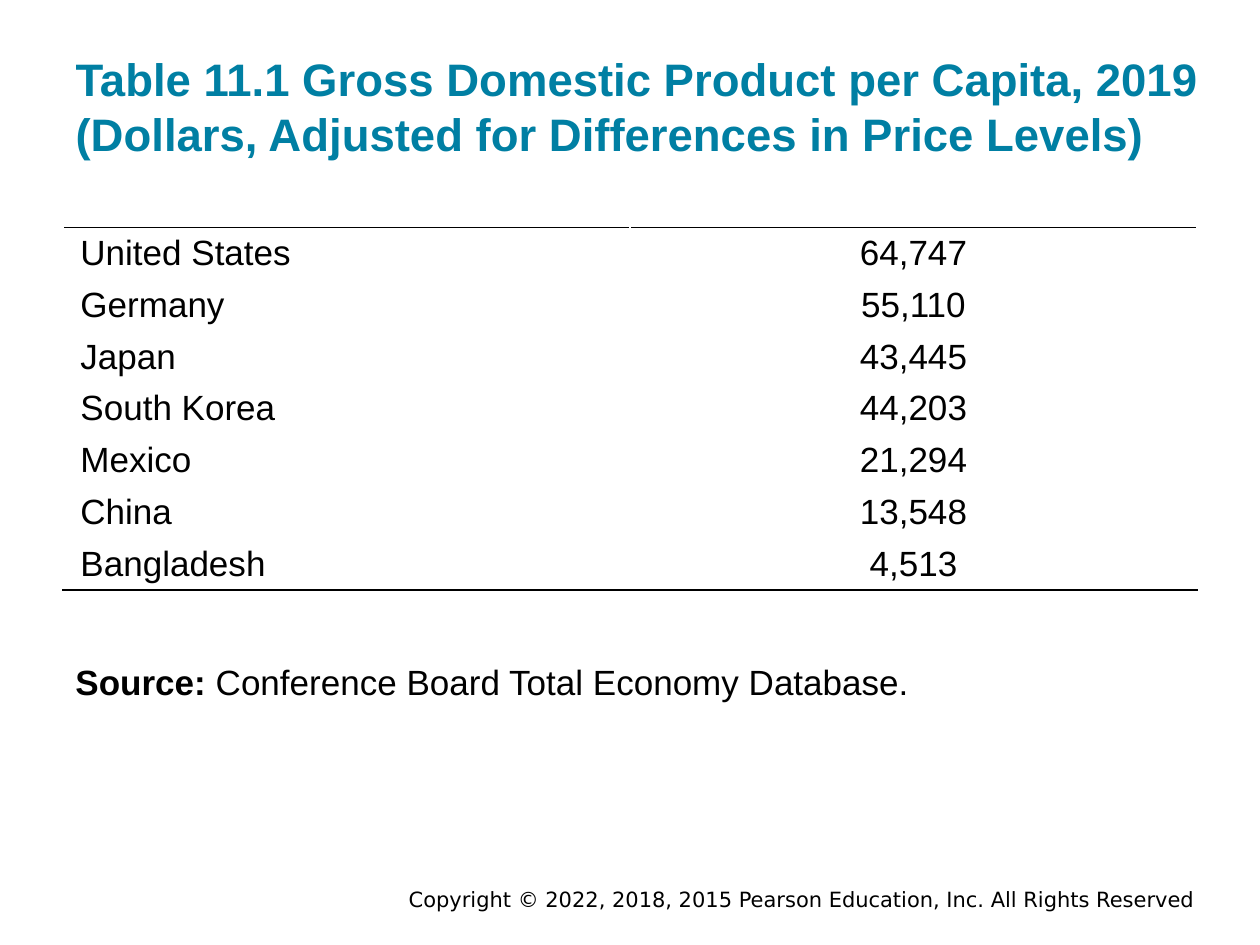
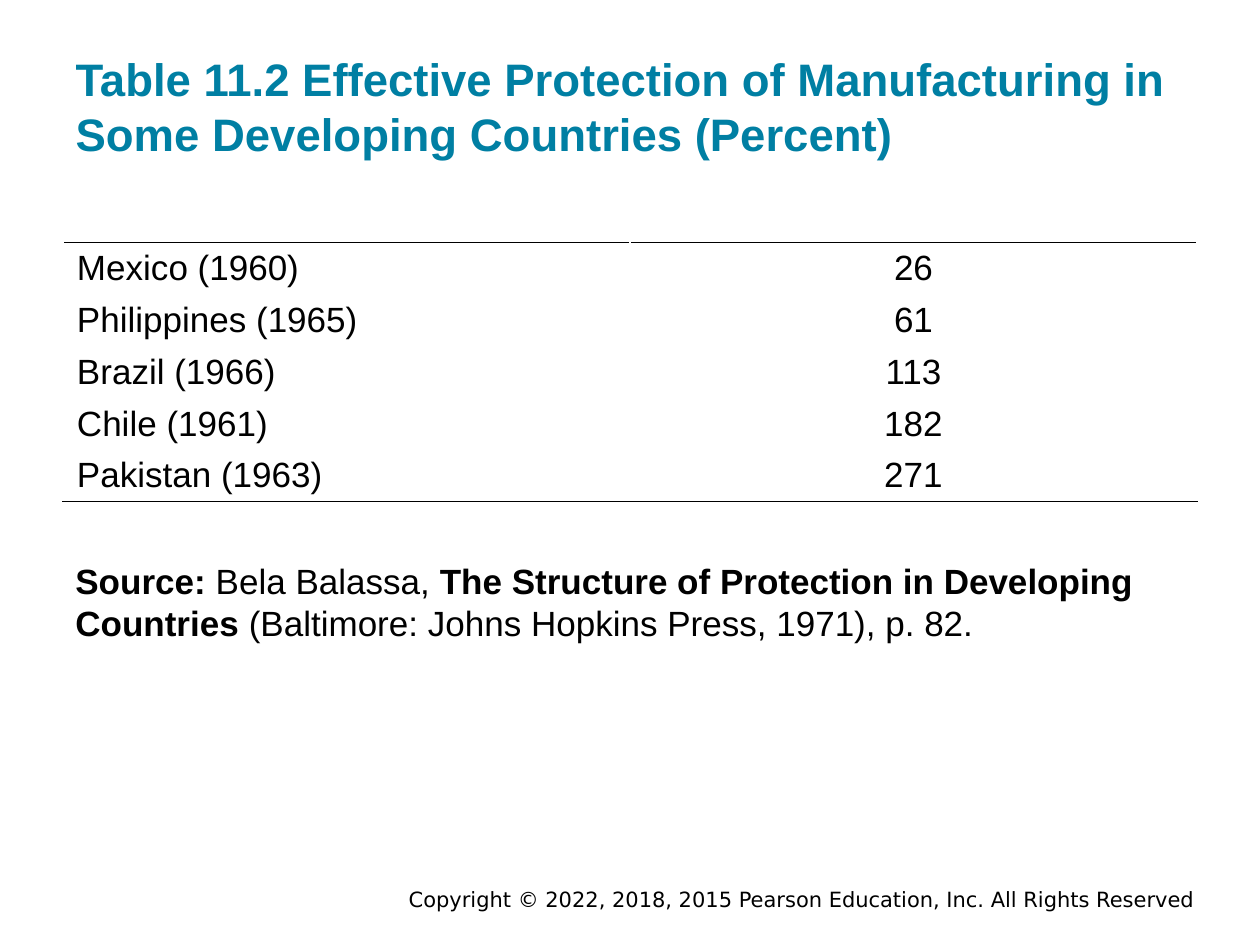
"""Build two table slides on income per capita and effective protection."""
from dataclasses import dataclass

from lxml.etree import SubElement
from pptx import Presentation
from pptx.dml.color import RGBColor
from pptx.enum.text import MSO_ANCHOR as Anchor, MSO_AUTO_SIZE as AutoSize, PP_ALIGN as Align
from pptx.oxml.ns import qn
from pptx.util import Pt


@dataclass(frozen=True)
class Theme:
    ink: str = "000000"
    heading: str = "007FA3"
    body_font: str = "Arial"
    footer_font: str = "DejaVu Sans"
    title_size: float = 26
    body_size: float = 20
    footer_size: float = 12


theme = Theme()
LEFT = 36
TABLE_WIDTH = 648
ROW_HEIGHT = 29.6
FOOTER = "Copyright © 2022, 2018, 2015 Pearson Education, Inc. All Rights Reserved"

table_slides = [
    {
        "title": "Table 11.1 Gross Domestic Product per Capita, 2019 "
                 "(Dollars, Adjusted for Differences in Price Levels)",
        "title_width": 665,
        "table_top": 130,
        "cell_inset": 10,
        "rows": [
            ("United States", "64,747"),
            ("Germany", "55,110"),
            ("Japan", "43,445"),
            ("South Korea", "44,203"),
            ("Mexico", "21,294"),
            ("China", "13,548"),
            ("Bangladesh", "4,513"),
        ],
        "source_box": (LEFT, 370, 497, 40),
        "source": [("Source: ", True), ("Conference Board Total Economy Database.", False)],
    },
    {
        "title": "Table 11.2 Effective Protection of Manufacturing in "
                 "Some Developing Countries (Percent)",
        "title_width": 648,
        "table_top": 138.7,
        "cell_inset": 8,
        "rows": [
            ("Mexico (1960)", "26"),
            ("Philippines (1965)", "61"),
            ("Brazil (1966)", "113"),
            ("Chile (1961)", "182"),
            ("Pakistan (1963)", "271"),
        ],
        "source_box": (LEFT, 312.5, 648, 64),
        "source": [
            ("Source: ", True),
            ("Bela Balassa, ", False),
            ("The Structure of Protection in Developing Countries ", True),
            ("(Baltimore: Johns Hopkins Press, 1971), p. 82.", False),
        ],
    },
]


def write_runs(paragraph, runs, size, color=theme.ink, name=theme.body_font, align=Align.LEFT):
    paragraph.alignment = align
    for text, bold in runs:
        run = paragraph.add_run()
        run.text = text
        for attribute, value in {"size": Pt(size), "name": name, "bold": bold}.items():
            setattr(run.font, attribute, value)
        run.font.color.rgb = RGBColor.from_string(color)


def set_frame(shape, box, anchor, inset_y=7.2):
    for attribute, value in zip(("left", "top", "width", "height"), box):
        setattr(shape, attribute, Pt(value))
    frame_format = {
        "word_wrap": True, "auto_size": AutoSize.NONE, "vertical_anchor": anchor,
        "margin_left": Pt(7.2), "margin_right": Pt(7.2),
        "margin_top": Pt(inset_y), "margin_bottom": Pt(inset_y),
    }
    for attribute, value in frame_format.items():
        setattr(shape.text_frame, attribute, value)
    return shape.text_frame.paragraphs[0]


presentation = Presentation()
presentation.slide_width, presentation.slide_height = Pt(720), Pt(540)
title_only = presentation.slide_layouts[5]

for content in table_slides:
    slide = presentation.slides.add_slide(title_only)

    title_box = (LEFT, 17.3, content["title_width"], 86.4)
    paragraph = set_frame(slide.shapes.title, title_box, Anchor.MIDDLE)
    write_runs(paragraph, [(content["title"], True)], theme.title_size, theme.heading)

    rows = content["rows"]
    table = slide.shapes.add_table(
        len(rows), 2, Pt(LEFT), Pt(content["table_top"]),
        Pt(TABLE_WIDTH), Pt(ROW_HEIGHT * len(rows)),
    ).table
    table.first_row = table.horz_banding = False
    edges = {0: "a:lnT", len(rows) - 1: "a:lnB"}
    for row_index, row in enumerate(rows):
        table.rows[row_index].height = Pt(ROW_HEIGHT)
        for column_index, (text, align) in enumerate(zip(row, (Align.LEFT, Align.CENTER))):
            cell = table.cell(row_index, column_index)
            cell.margin_left = cell.margin_right = Pt(content["cell_inset"])
            cell.margin_top = cell.margin_bottom = Pt(3.6)
            write_runs(cell.text_frame.paragraphs[0], [(text, False)], theme.body_size, align=align)
            if row_index in edges:
                properties = cell._tc.get_or_add_tcPr()
                line = SubElement(properties, qn(edges[row_index]), w=str(Pt(1)))
                fill = SubElement(line, qn("a:solidFill"))
                SubElement(fill, qn("a:srgbClr"), val=theme.ink)
            cell.fill.background()

    source = slide.shapes.add_textbox(0, 0, 0, 0)
    paragraph = set_frame(source, content["source_box"], Anchor.TOP)
    write_runs(paragraph, content["source"], theme.body_size)

    footer = slide.shapes.add_textbox(0, 0, 0, 0)
    paragraph = set_frame(footer, (126, 506, 564, 16), Anchor.MIDDLE, inset_y=3.6)
    write_runs(paragraph, [(FOOTER, False)], theme.footer_size,
               name=theme.footer_font, align=Align.RIGHT)

presentation.save("out.pptx")
